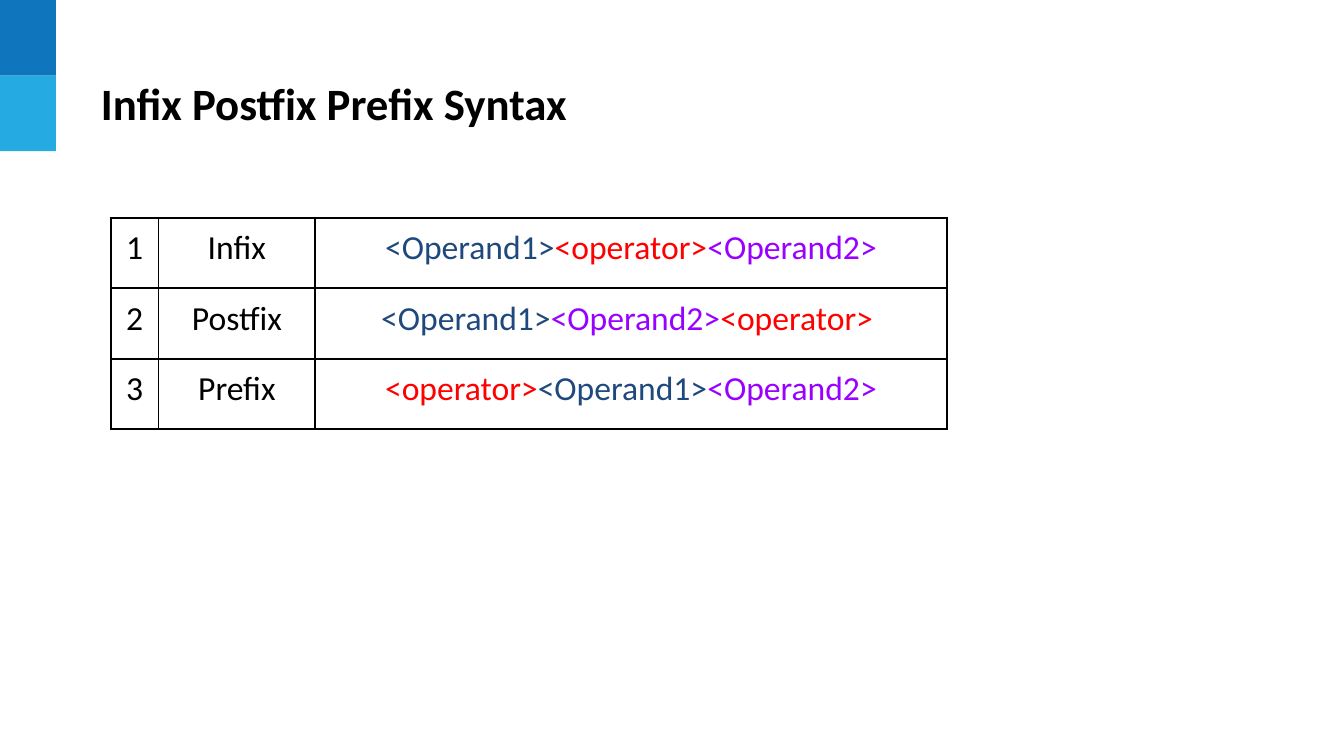
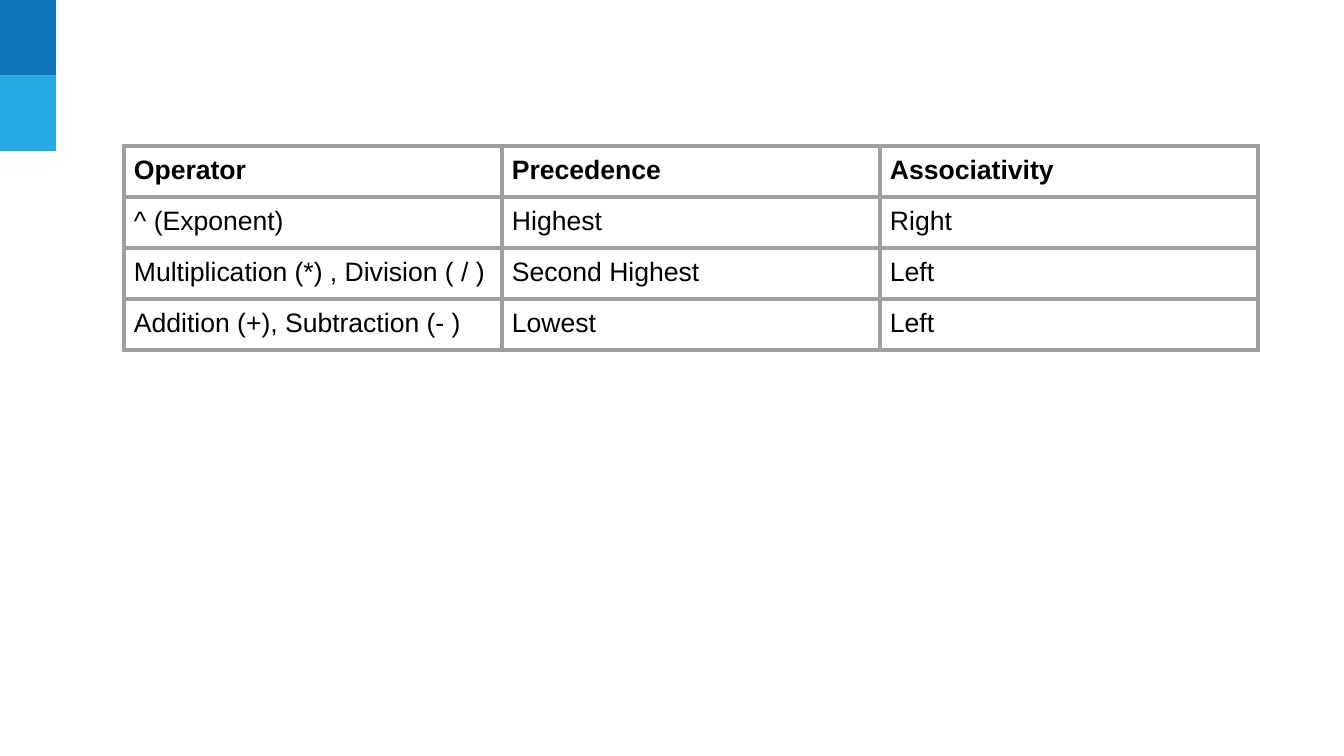
from lxml import etree
from pptx import Presentation
from pptx.dml.color import RGBColor
from pptx.enum import shapes, text
from pptx.oxml import ns
from pptx.util import Pt

BLACK = "000000"
BANDS = ["0F75BD", "25AAE2"]
INKS = {"<Operand1>": "1F497D", "<operator>": "FF0000", "<Operand2>": "9900FF"}


def style(run, face, size, bold=False, ink=BLACK):
    run.font.name = face
    run.font.size = Pt(size)
    run.font.bold = bold
    run.font.color.rgb = RGBColor.from_string(ink)


def edge(cell, ink, width):
    props = cell._tc.get_or_add_tcPr()
    for side in ["lnL", "lnR", "lnT", "lnB"]:
        line = etree.SubElement(props, ns.qn("a:" + side), w=str(Pt(width)))
        fill = etree.SubElement(line, ns.qn("a:solidFill"))
        etree.SubElement(fill, ns.qn("a:srgbClr"), val=ink)


deck = Presentation()
deck.slide_width = Pt(960)
deck.slide_height = Pt(540)

syntax = [
    [["1"], ["Infix"], ["<Operand1>", "<operator>", "<Operand2>"]],
    [["2"], ["Postfix"], ["<Operand1>", "<Operand2>", "<operator> "]],
    [["3"], ["Prefix"], ["<operator>", "<Operand1>", "<Operand2>"]],
]
ranks = [
    [["Operator"], ["Precedence"], ["Associativity"]],
    [["^ (Exponent)"], ["Highest"], ["Right"]],
    [["Multiplication (*) , Division ( / )"], ["Second Highest"], ["Left"]],
    [["Addition (+), Subtraction (- )"], ["Lowest"], ["Left"]],
]
pages = [
    dict(title="Infix Postfix Prefix Syntax", rows=syntax, left=79.2, top=155.5,
         cols=[34, 112, 451], high=50.4, pad=7.2, face="Calibri", size=24,
         align=text.PP_ALIGN.CENTER, head=False, rule=BLACK, width=1.5),
    dict(title=None, rows=ranks, left=88.5, top=104.4,
         cols=[270] * 3, high=35.5, pad=6.8, face="Arial", size=19,
         align=text.PP_ALIGN.LEFT, head=True, rule="9E9E9E", width=3),
]

for page in pages:
    slide = deck.slides.add_slide(deck.slide_layouts[6])
    for i, ink in enumerate(BANDS):
        band = slide.shapes.add_shape(
            shapes.MSO_SHAPE.RECTANGLE, 0, Pt(54 * i), Pt(40), Pt(54))
        band.shadow.inherit = False
        band.fill.solid()
        band.fill.fore_color.rgb = RGBColor.from_string(ink)
        band.line.fill.background()

    if page["title"]:
        box = slide.shapes.add_textbox(Pt(65), Pt(40.5), Pt(801), Pt(65))
        frame = box.text_frame
        frame.word_wrap = True
        frame.vertical_anchor = text.MSO_ANCHOR.MIDDLE
        frame.text = page["title"]
        style(frame.paragraphs[0].runs[0], "Calibri", 32, True)

    rows, cols = page["rows"], page["cols"]
    table = slide.shapes.add_table(
        len(rows), len(cols), Pt(page["left"]), Pt(page["top"]),
        Pt(sum(cols)), Pt(page["high"] * len(rows))).table
    table.first_row = page["head"]
    table.horz_banding = False
    for col, wide in zip(table.columns, cols):
        col.width = Pt(wide)
    for r, row in enumerate(rows):
        table.rows[r].height = Pt(page["high"])
        for c, parts in enumerate(row):
            cell = table.cell(r, c)
            cell.margin_left = cell.margin_right = Pt(7.2)
            cell.margin_top = cell.margin_bottom = Pt(page["pad"])
            edge(cell, page["rule"], page["width"])
            cell.fill.background()
            para = cell.text_frame.paragraphs[0]
            para.alignment = page["align"]
            for part in parts:
                run = para.add_run()
                run.text = part
                style(run, page["face"], page["size"], page["head"] and r == 0,
                      INKS.get(part.strip(), BLACK))

deck.save("out.pptx")
